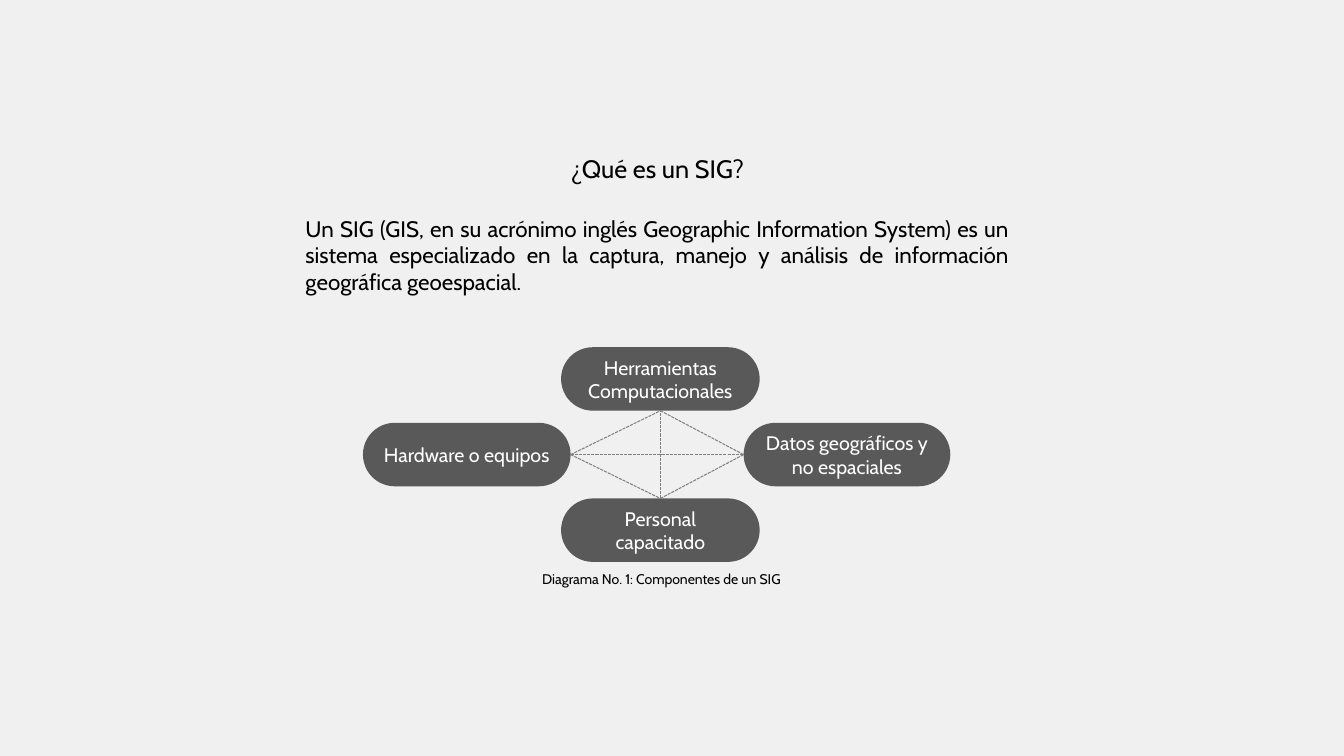
from lxml import etree
from pptx import Presentation
from pptx import util as u
from pptx.dml.color import RGBColor
from pptx.enum import dml, shapes, text
from pptx.oxml.ns import qn

COLORS = {"background": "F0F0F0", "ink": "000000", "node": "595959",
          "node_text": "FFFFFF", "link": "808080"}
FONT = "Cabin"

TITLE = "¿Qué es un SIG?"
DEFINITION = ("Un SIG (GIS, en su acrónimo inglés Geographic Information System) es un "
              "sistema especializado en la captura, manejo y análisis de información "
              "geográfica geoespacial.")
CAPTION = "Diagrama No. 1: Componentes de un SIG"

# name: (label, column, row, width)
NODES = {
    "hardware": ("Hardware o equipos", 0, 1, 2.06),
    "data": ("Datos geográficos y no espaciales", 2, 1, 2.05),
    "tools": ("Herramientas Computacionales", 1, 0, 1.97),
    "people": ("Personal capacitado", 1, 2, 1.97),
}
TOP, LEFT, BOTTOM, RIGHT = range(4)
FACING_SIDE = {"hardware": RIGHT, "data": LEFT, "tools": BOTTOM, "people": TOP}
LINKS = [("hardware", "tools"), ("tools", "data"), ("hardware", "data"),
         ("hardware", "people"), ("people", "data"), ("people", "tools")]

COLUMN_CENTERS = (4.63, 6.55, 8.40)
MIDDLE_ROW, ROW_PITCH, NODE_HEIGHT = 4.51, 0.75, 0.63
TEXT_LEFT, TEXT_WIDTH = 2.93, 7.18


def color(name):
    return RGBColor.from_string(COLORS[name])


def place(shape, left, top, width, height):
    shape.left, shape.top = u.Inches(left), u.Inches(top)
    shape.width, shape.height = u.Inches(width), u.Inches(height)


def write(shape, content, size, ink="ink", align=text.PP_ALIGN.CENTER,
          anchor=text.MSO_ANCHOR.TOP):
    frame = shape.text_frame
    frame.text = content
    frame.word_wrap = True
    frame.auto_size = text.MSO_AUTO_SIZE.NONE
    frame.vertical_anchor = anchor
    paragraph = frame.paragraphs[0]
    paragraph.alignment = align
    paragraph.space_before = u.Pt(0)
    paragraph.font.size = u.Pt(size)
    paragraph.font.name = FONT
    paragraph.font.color.rgb = color(ink)
    return paragraph


def remove_bullet(paragraph):
    properties = paragraph._p.get_or_add_pPr()
    properties.set("marL", "0")
    properties.set("indent", "0")
    bullet = etree.Element(qn("a:buNone"))
    properties.insert_element_before(bullet, "a:tabLst", "a:defRPr", "a:extLst")


def add_node(slide, label, column, row, width):
    node = slide.shapes.add_shape(shapes.MSO_SHAPE.ROUNDED_RECTANGLE, 0, 0, 0, 0)
    center = MIDDLE_ROW + (row - 1) * ROW_PITCH
    place(node, COLUMN_CENTERS[column] - width / 2, center - NODE_HEIGHT / 2,
          width, NODE_HEIGHT)
    node.adjustments[0] = 0.5
    node.shadow.inherit = False
    node.fill.solid()
    node.fill.fore_color.rgb = color("node")
    node.line.fill.background()
    write(node, label, 14, ink="node_text", anchor=text.MSO_ANCHOR.MIDDLE)
    return node


def add_link(slide, nodes, start, end):
    link = slide.shapes.add_connector(shapes.MSO_CONNECTOR.STRAIGHT, 0, 0, 0, 0)
    link.begin_connect(nodes[start], FACING_SIDE[start])
    link.end_connect(nodes[end], FACING_SIDE[end])
    link.line.color.rgb = color("link")
    link.line.width = u.Pt(0.75)
    link.line.dash_style = dml.MSO_LINE.SQUARE_DOT
    etree.SubElement(link._element.spPr, qn("a:effectLst"))


def main():
    presentation = Presentation()
    presentation.slide_width, presentation.slide_height = u.Inches(13.33), u.Inches(7.5)
    slide = presentation.slides.add_slide(presentation.slide_layouts[1])
    slide.background.fill.solid()
    slide.background.fill.fore_color.rgb = color("background")

    title, body = slide.placeholders
    place(title, TEXT_LEFT, 1.47, TEXT_WIDTH, 0.4)
    write(title, TITLE, 18)
    place(body, TEXT_LEFT, 2.08, TEXT_WIDTH, 0.9)
    remove_bullet(write(body, DEFINITION, 16, align=text.PP_ALIGN.JUSTIFY))

    caption = slide.shapes.add_textbox(0, 0, 0, 0)
    place(caption, 4.49, 5.61, 4.14, 0.27)
    write(caption, CAPTION, 10)

    nodes = {name: add_node(slide, *node) for name, node in NODES.items()}
    for start, end in LINKS:
        add_link(slide, nodes, start, end)
    presentation.save("out.pptx")


if __name__ == "__main__":
    main()
